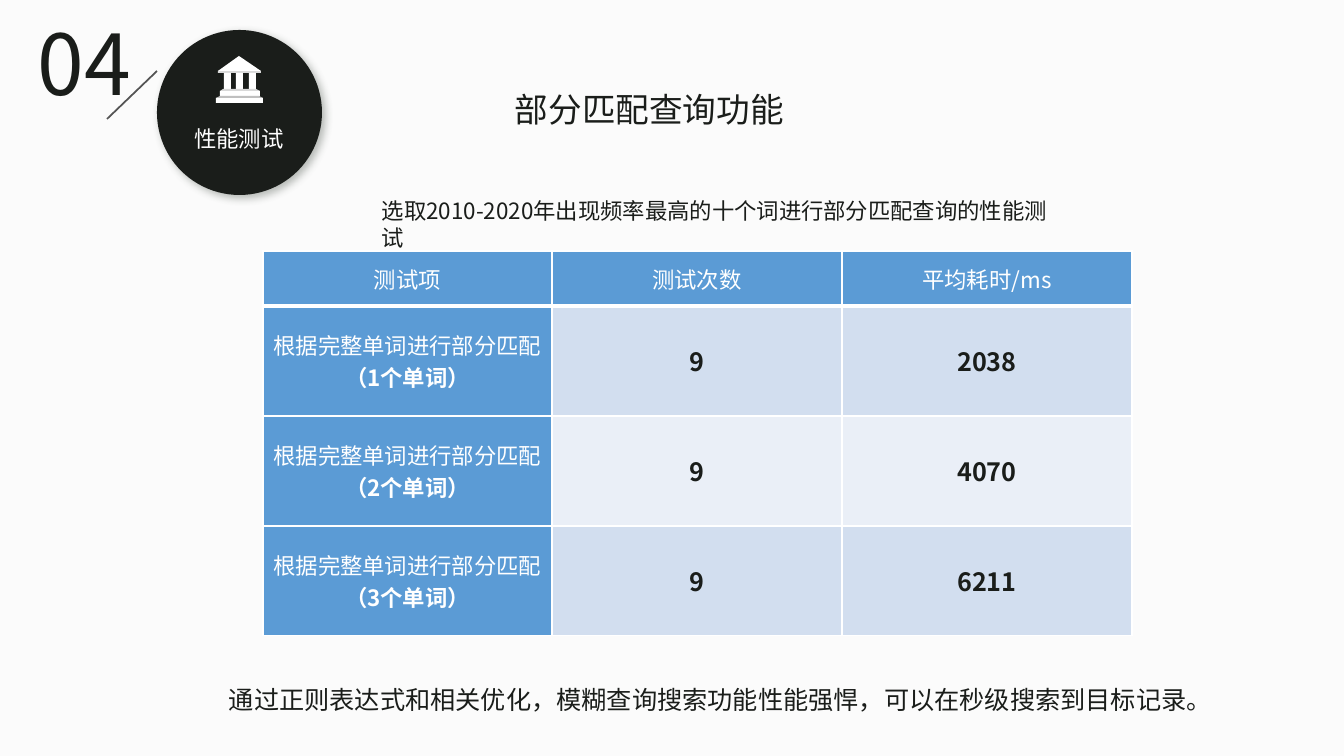
from lxml import etree
from pptx import Presentation
from pptx.dml.color import RGBColor
from pptx.enum.shapes import MSO_CONNECTOR, MSO_SHAPE
from pptx.enum.text import MSO_ANCHOR, PP_ALIGN
from pptx.oxml import parse_xml
from pptx.oxml.ns import nsdecls, qn
from pptx.util import Emu, Pt

CENTER, LEFT = PP_ALIGN.CENTER, PP_ALIGN.LEFT
MIDDLE = MSO_ANCHOR.MIDDLE
OVAL, RECT = MSO_SHAPE.OVAL, MSO_SHAPE.RECTANGLE
STRAIGHT = MSO_CONNECTOR.STRAIGHT
SCALE = 914400 / 100.8
SANS, SERIF = "Noto Sans CJK SC", "Times New Roman"
DARK, WHITE, BLUE = "1A1D1A", "FFFFFF", "5B9BD5"
rgb = RGBColor.from_string


def px(*values):
    return [Emu(round(v * SCALE)) for v in values]


def add_run(p, text, size, color, bold=False, name=SANS):
    r = p.add_run()
    r.text = text
    for key, value in dict(size=Pt(size), bold=bold, name=name).items():
        setattr(r.font, key, value)
    r.font.color.rgb = rgb(color)
    etree.SubElement(r.font._element, qn("a:ea")).set("typeface", SANS)


prs = Presentation()
prs.slide_width, prs.slide_height = px(1344, 756)
s = prs.slides.add_slide(prs.slide_layouts[6])
s.background.fill.solid()
s.background.fill.fore_color.rgb = rgb("FBFBFB")

# Slash beside the section number
slash = s.shapes.add_connector(STRAIGHT, *px(157, 71, 107, 119))
slash.line.color.rgb = rgb("545454")
slash.line.width = Pt(1.25)
etree.SubElement(slash._element.spPr, qn("a:effectLst"))

# Section badge and the bars of its building icon
bars = [(OVAL, 157, 30, 165, 165, DARK),
        (RECT, 216, 98, 47, 5, WHITE),
        (RECT, 220, 91, 40, 5, WHITE),
        (RECT, 218, 71, 43, 2, "D9D9D9")]
bars += [(RECT, x, 73, 7, 17, WHITE) for x in (224, 236, 249)]
for kind, x, y, w, h, color in bars:
    sp = s.shapes.add_shape(kind, *px(x, y, w, h))
    sp.fill.solid()
    sp.fill.fore_color.rgb = rgb(color)
    sp.line.fill.background()
    sp.shadow.inherit = False
    if kind == OVAL:
        sp._element.spPr.find(qn("a:effectLst")).append(parse_xml(
            f'<a:outerShdw {nsdecls("a")} blurRad="76200" dist="38100" dir="2700000">'
            '<a:srgbClr val="505950"><a:alpha val="40000"/></a:srgbClr></a:outerShdw>'))

# Roof and step edges of the icon
for points, color in [
        ([(261, 71), (239, 56), (218, 71)], WHITE),
        ([(259, 96), (220, 96), (216, 98), (263, 98)], "BFBFBF"),
        ([(256, 89), (223, 89), (220, 91), (260, 91)], "D9D9D9")]:
    builder = s.shapes.build_freeform(*points[0], scale=SCALE)
    builder.add_line_segments(points[1:], close=True)
    sp = builder.convert_to_shape()
    sp.fill.solid()
    sp.fill.fore_color.rgb = rgb(color)
    sp.line.fill.background()
    sp.shadow.inherit = False

# Performance table
rows = [("测试项", "测试次数", "平均耗时/ms")]
rows += [(f"（{n}个单词）", "9", ms) for n, ms in enumerate(("2038", "4070", "6211"), 1)]
table = s.shapes.add_table(4, 3, *px(263, 251, 869, 385)).table
for col, width in zip(table.columns, px(289, 290, 290)):
    col.width = width
for row, height in zip(table.rows, px(55, 110, 110, 110)):
    row.height = height
for i, row in enumerate(rows):
    for j, text in enumerate(row):
        cell = table.cell(i, j)
        cell.vertical_anchor = MIDDLE
        cell.margin_left, cell.margin_right, cell.margin_top, cell.margin_bottom = px(7, 7, 0, 0)
        header = i == 0 or j == 0
        p = cell.text_frame.paragraphs[0]
        p.alignment = CENTER
        if i and j == 0:
            add_run(p, "根据完整单词进行部分匹配", 16, WHITE)
        add_run(p, text, 16 if header else 18, WHITE if header else DARK, bold=i > 0)
        for side in "LRTB":
            thick = (i, side) in ((0, "B"), (1, "T"))
            cell._tc.get_or_add_tcPr().append(parse_xml(
                f'<a:ln{side} {nsdecls("a")} w="{38100 if thick else 12700}">'
                f'<a:solidFill><a:srgbClr val="{WHITE}"/></a:solidFill></a:ln{side}>'))
        cell.fill.solid()
        cell.fill.fore_color.rgb = rgb(BLUE if header else "D2DEEF" if i % 2 else "EAEFF7")

# Section number, badge label, title, caption and conclusion
for x, y, w, h, text, size, color, align, name in [
        (28, 7, 115, 112, "04", 60, DARK, LEFT, SANS),
        (135, 120, 208, 37, "性能测试", 16, WHITE, CENTER, SANS),
        (505, 84, 514, 50, "部分匹配查询功能", 24, DARK, LEFT, SANS),
        (372, 192, 705, 64, "选取2010-2020年出现频率最高的十个词进行部分匹配查询的性能测试",
         16, DARK, LEFT, SANS),
        (219, 679, 1005, 40, "通过正则表达式和相关优化，模糊查询搜索功能性能强悍，可以在秒级搜索到目标记录。",
         18, DARK, LEFT, SERIF)]:
    tf = s.shapes.add_textbox(*px(x, y, w, h)).text_frame
    tf.word_wrap = True
    p = tf.paragraphs[0]
    p.alignment = align
    add_run(p, text, size, color, name=name)

prs.save("out.pptx")
